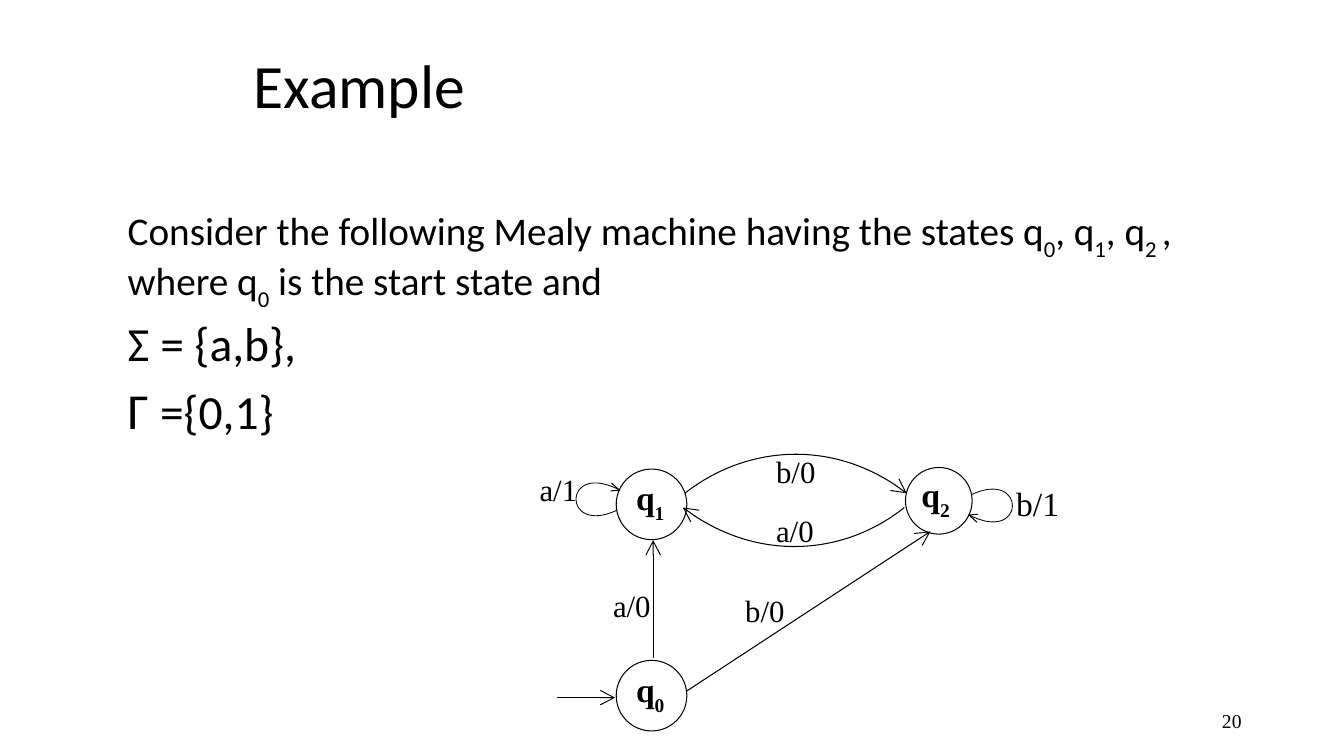
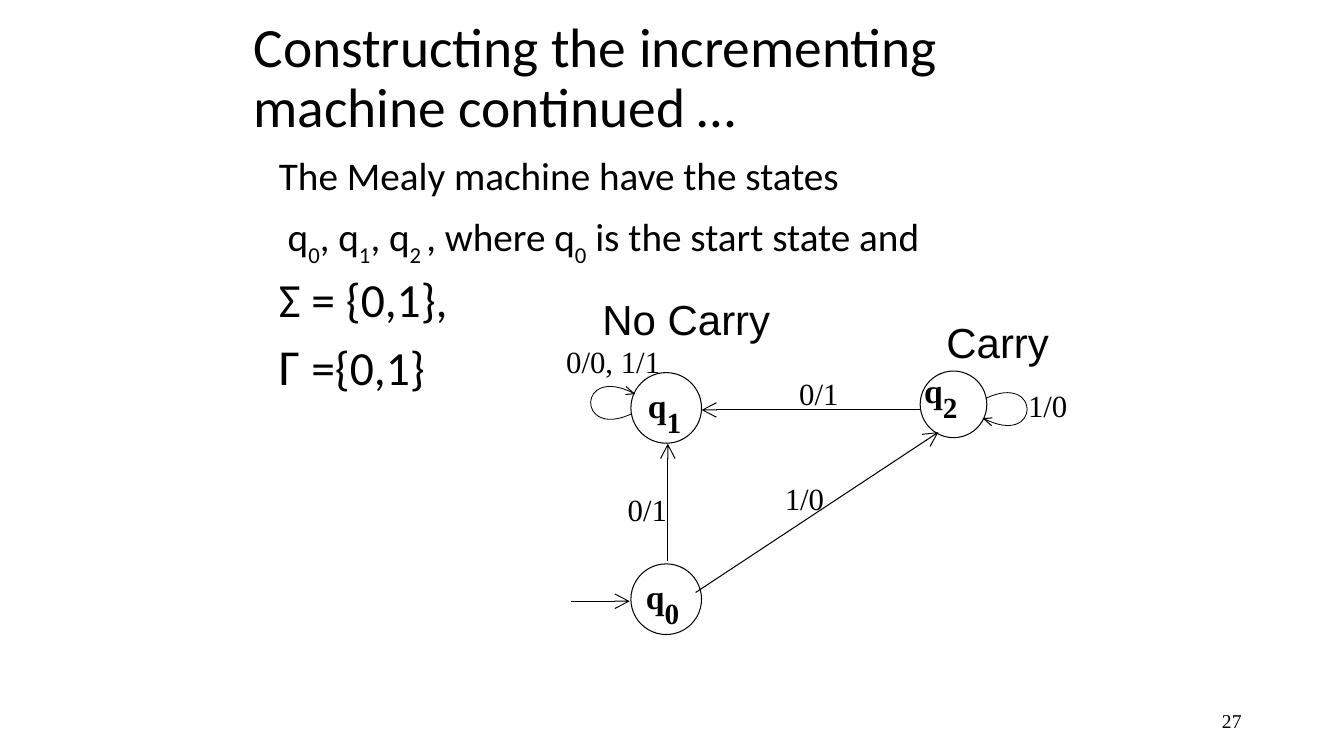
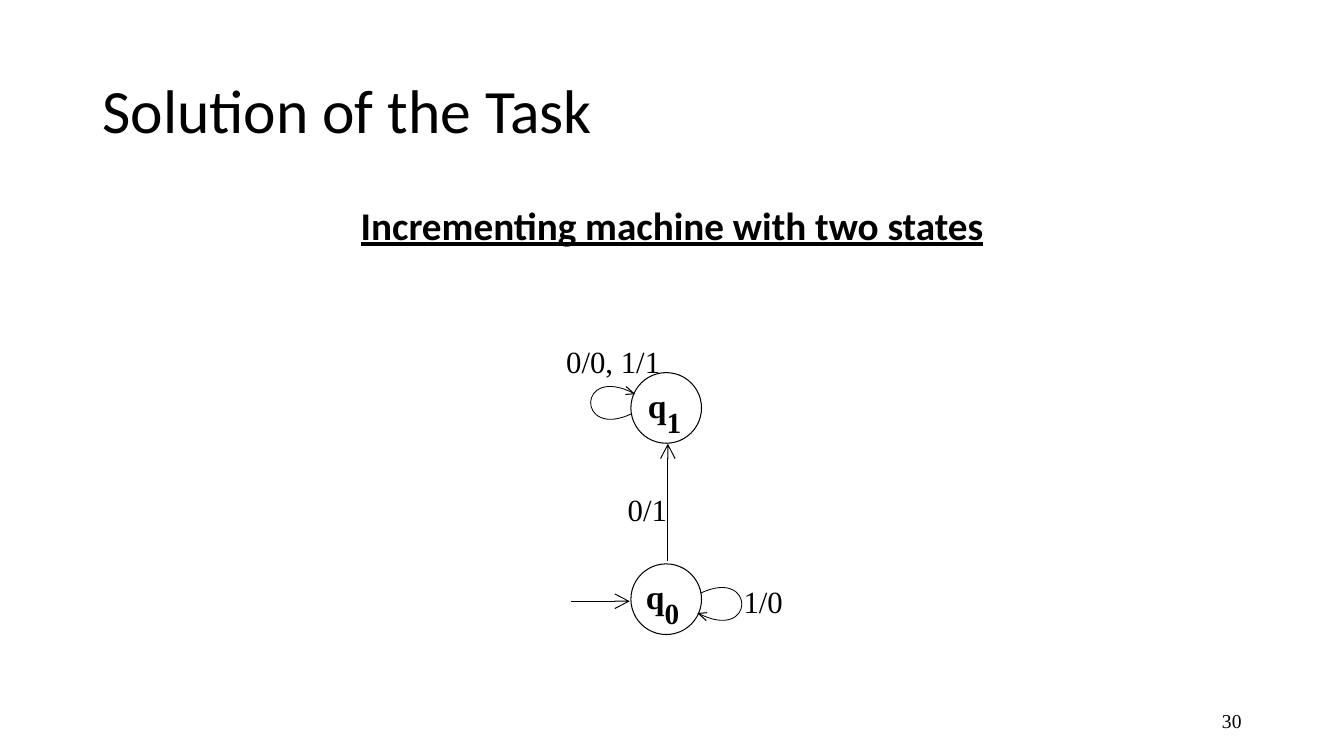
from dataclasses import dataclass

from lxml import etree
from pptx import Presentation
from pptx.dml.color import RGBColor
from pptx.enum.shapes import MSO_CONNECTOR, MSO_SHAPE
from pptx.enum.text import MSO_ANCHOR, PP_ALIGN
from pptx.oxml.ns import qn
from pptx.util import Cm, Pt

ELLIPSE, STRAIGHT = MSO_SHAPE.OVAL, MSO_CONNECTOR.STRAIGHT
TOP, MIDDLE = MSO_ANCHOR.TOP, MSO_ANCHOR.MIDDLE
LEFT, CENTER, RIGHT = PP_ALIGN.LEFT, PP_ALIGN.CENTER, PP_ALIGN.RIGHT


@dataclass(frozen=True)
class Theme:
    ink: RGBColor = RGBColor(0, 0, 0)
    paper: RGBColor = RGBColor(255, 255, 255)
    main: str = "Calibri"
    diagram: str = "Times New Roman"
    caption: str = "Arial"
    title_size: float = 44
    long_title_size: float = 39.6
    body_size: float = 28
    set_size: float = 34
    gamma_size: float = 36
    caption_size: float = 30
    state_size: float = 24
    big_index_size: float = 36
    label_size: float = 22
    number_size: float = 14
    line: float = 0.75
    loop_line: float = 0.6


T = Theme()

# Standard box: left, top, width, height in cm
BODY_BOX = (2.33, 5.08, 29.21, 12.09)
STATE = 1.78        # usual state diameter
SMALL_STATE = 1.68
# Loop parts, each around its own middle, before they are turned
LOOP = ((-0.05, 0.79), (-0.95, -0.47), (0.95, -0.8), (0.46, 0.76))
LOWER_BARB = ((-0.09, 0.1), (0.09, -0.1))
UPPER_BARB = ((-0.01, -0.12), (0.01, 0.12))


class Deck:
    def __init__(self):
        self.prs = Presentation()
        self.prs.slide_width, self.prs.slide_height = Cm(33.87), Cm(19.05)
        self.s = None
        self.origin = (0, 0)

    def slide(self, number, title, box, size=T.title_size):
        self.s = self.prs.slides.add_slide(self.prs.slide_layouts[6])
        self.text((23.92, 17.65, 7.62, 1.02), [[(number, T.number_size)]],
                  T.diagram, anchor=MIDDLE, align=RIGHT)
        self.text(box, [[(title, size)]], T.main, anchor=MIDDLE, spacing=0.9)

    def text(self, box, paragraphs, font, anchor=TOP, align=LEFT, spacing=None,
             before=None, indent=0, bold=False, underline=False):
        """Paragraphs are lists of (text, size); |x| in a text is a subscript."""
        sp = self.s.shapes.add_textbox(*map(Cm, box))
        tf = sp.text_frame
        tf.word_wrap, tf.vertical_anchor = True, anchor
        tf.margin_left = Cm(0.25 + indent)
        for i, pieces in enumerate(paragraphs):
            p = tf.paragraphs[0] if i == 0 else tf.add_paragraph()
            p.alignment = align
            if spacing:
                p.line_spacing = spacing
            if before:
                p.space_before = Pt(before)
            for marked, size in pieces:
                for k, part in enumerate(marked.split("|")):
                    if part:
                        self.run(p, part, font, size, bold, underline, k % 2)

    def run(self, p, text, font, size, bold, underline, subscript):
        r = p.add_run()
        r.text = text
        r.font.name, r.font.size = font, Pt(size)
        r.font.bold, r.font.underline = bold, underline
        r.font.color.rgb = T.ink
        if subscript:
            r.font._element.set("baseline", "-30000")

    def body(self, box, paragraphs, **style):
        self.text(box, paragraphs, T.main, spacing=0.9, before=10, **style)

    def at(self, x, y):
        """Slide position of a point in the diagram."""
        return self.origin[0] + x, self.origin[1] + y

    def label(self, text, x, y, size=T.label_size, font=T.diagram, width=2.97):
        self.text((*self.at(x, y), width, 1.04), [[(text, size)]], font)

    def state(self, index, x, y, name_dx, name_dy, diameter=STATE,
              index_size=T.state_size):
        left, top = self.at(x, y)
        sp = self.s.shapes.add_shape(
            ELLIPSE, Cm(left), Cm(top), Cm(diameter), Cm(diameter))
        sp.shadow.inherit = False
        sp.fill.solid()
        sp.fill.fore_color.rgb = T.paper
        self.stroke(sp, T.line)
        self.text((left + name_dx, top + name_dy, 2.44, 1.14),
                  [[("q", T.state_size), (f"|{index}|", index_size)]],
                  T.diagram, bold=True)

    def stroke(self, sp, width, arrow=False):
        sp.line.color.rgb = T.ink
        sp.line.width = Pt(width)
        if arrow:
            ln = sp.element.spPr.find(qn("a:ln"))
            etree.SubElement(ln, qn("a:tailEnd"), type="arrow", w="lg", len="lg")

    def arrow(self, start, end):
        sp = self.s.shapes.add_connector(
            STRAIGHT, *map(Cm, self.at(*start) + self.at(*end)))
        self.stroke(sp, T.line, arrow=True)
        etree.SubElement(sp.element.spPr, qn("a:effectLst"))

    def curve(self, points, width=T.line, arrow=False, turn=0):
        """Open outline: a line through two points, a cubic curve through four."""
        start, *rest = [tuple(map(Cm, self.at(*point))) for point in points]
        builder = self.s.shapes.build_freeform(*start)
        builder.add_line_segments(rest, close=False)
        sp = builder.convert_to_shape()
        if len(rest) == 3:
            segments = list(sp.element.spPr.iter(qn("a:lnTo")))
            cubic = etree.SubElement(segments[0].getparent(), qn("a:cubicBezTo"))
            for segment in segments:
                cubic.append(segment[0])
                segment.getparent().remove(segment)
        sp.rotation = turn
        sp.shadow.inherit = False
        sp.fill.background()
        self.stroke(sp, width, arrow)

    def loop(self, x, y, side, diameter=STATE):
        """Loop on a state: side 1 is right, -1 is left (half a turn)."""
        radius = diameter / 2
        half_turn = 0 if side == 1 else 180
        for points, dx, dy, turn, width in (
                (LOOP, 0.75, 0.04, 100, T.loop_line),
                (LOWER_BARB, 0.02, 0.45, 90, T.line),
                (UPPER_BARB, 0.02, 0.35, 90, T.line)):
            mid_x = x + radius + side * (radius + dx)
            mid_y = y + radius + side * dy
            self.curve([(mid_x + px, mid_y + py) for px, py in points],
                       width, turn=turn + half_turn)

    def start_and_rise(self, label):
        """Start arrow into q0, and the arrow from q0 up to q1."""
        self.arrow((-1.5, 5.76), (-0.03, 5.76))
        self.arrow((0.93, 4.75), (0.93, 1.79))
        self.label(label, -0.33, 2.84)


Q0, Q1, Q2 = (0, 4.82), (0, 0), (7.29, -0.04)


def sets(alphabet):
    """Lines that give the input and output alphabets."""
    return [[(f"Σ = {alphabet},", T.set_size)],
            [("Γ ", T.gamma_size), ("={0,1}", T.set_size)]]


deck = Deck()

# Slide 1: Mealy machine with three states
deck.slide("20", "Example", (6.14, 0.64, 21.59, 3.18))
deck.body(BODY_BOX, [
    [("Consider the following Mealy machine having the states "
      "q|0|, q|1|, q|2 |, where q|0| is the start state and", T.body_size)],
    *sets("{a,b}")], indent=0.64)
deck.origin = (15.53, 11.82)
deck.state(0, *Q0, 0.25, 0.1)
deck.state(1, *Q1, 0.25, 0.08)
deck.state(2, *Q2, 0.15, 0.03, SMALL_STATE)
deck.start_and_rise("a/0")
deck.arrow((1.78, 5.59), (7.92, 1.57))
deck.label("b/0", 3, 2.97)
deck.loop(*Q1, -1)
deck.label("a/1", -2.18, -0.08)
deck.loop(*Q2, 1, SMALL_STATE)
deck.label("b/1", 9.83, 0.23, T.state_size)
deck.curve([(7.26, 0.97), (5.84, 2.11), (3.53, 2.39), (1.68, 0.97)], arrow=True)
deck.label("a/0", 3.78, 0.94)
deck.curve([(1.73, 0.61), (3.18, -0.53), (5.49, -0.81), (7.32, 0.61)], arrow=True)
deck.label("b/0", 3.78, -0.53)

# Slide 2: incrementing machine with three states
deck.slide("27", "Constructing the incrementing machine continued …",
           (6.14, 0.41, 21.59, 3.18), T.long_title_size)
deck.body((6.14, 3.81, 21.59, 11.43), [
    [("The Mealy machine have the states", T.body_size)],
    [(" q|0|, q|1|, q|2 |, where q|0| is the start state and", T.body_size)],
    *sets("{0,1}")], indent=0.64)
deck.origin = (15.9, 9.39)
deck.state(0, *Q0, 0.13, -0.25, index_size=T.big_index_size)
deck.state(1, *Q1, 0.18, -0.25, index_size=T.big_index_size)
deck.state(2, *Q2, -0.15, -0.58, SMALL_STATE, T.big_index_size)
deck.start_and_rise("0/1")
deck.arrow((7.28, 0.94), (1.78, 0.94))
deck.label("0/1", 3.99, -0.06)
deck.arrow((1.63, 5.54), (7.75, 1.5))
deck.label("1/0", 3.63, 2.57)
deck.loop(*Q1, -1)
deck.label("0/0, 1/1", -1.88, -0.88)
deck.loop(*Q2, 1, SMALL_STATE)
deck.label("1/0", 9.76, 0.23)
deck.label("Carry", 7.7, -1.53, T.caption_size, T.caption, 3.6)
deck.label("No Carry", -0.97, -2.12, T.caption_size, T.caption, 5.2)

# Slide 3: incrementing machine with two states
deck.slide("30", "Solution of the Task", (2.33, 1.02, 29.21, 3.68))
deck.body(BODY_BOX, [[("Incrementing machine with two states", T.body_size)]],
          align=CENTER, bold=True, underline=True)
deck.state(0, *Q0, 0.13, -0.25, index_size=T.big_index_size)
deck.state(1, *Q1, 0.18, -0.25, index_size=T.big_index_size)
deck.start_and_rise("0/1")
deck.loop(*Q1, -1)
deck.label("0/0, 1/1", -1.88, -0.88)
deck.loop(*Q0, 1)
deck.label("1/0", 2.59, 5.17)

deck.prs.save("out.pptx")
